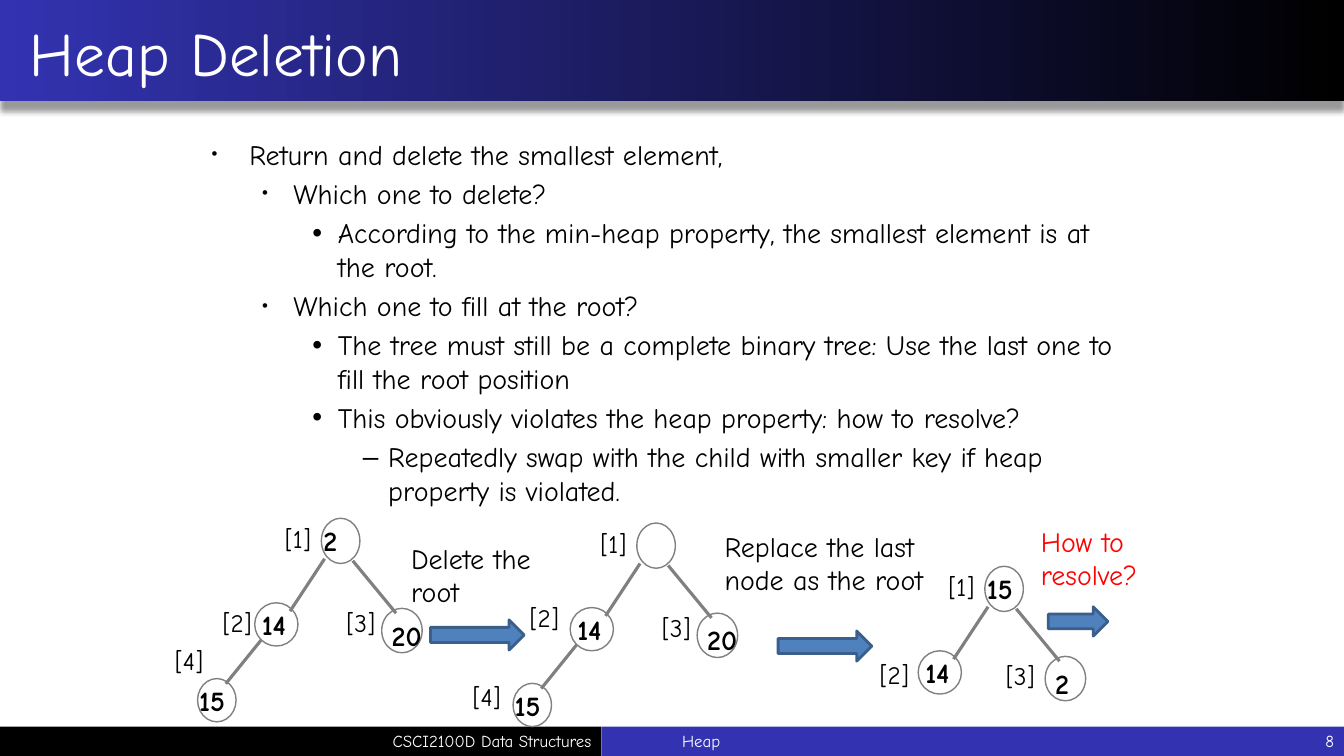
"""Build the heap deletion slide with its three tree stages."""
from lxml import etree
from pptx import Presentation
from pptx.dml.color import RGBColor
from pptx.enum.shapes import MSO_CONNECTOR, MSO_SHAPE
from pptx.enum.text import MSO_ANCHOR, MSO_AUTO_SIZE, PP_ALIGN
from pptx.oxml.ns import qn
from pptx.util import Cm, Pt

BLACK = RGBColor(0x00, 0x00, 0x00)
WHITE = RGBColor(0xFF, 0xFF, 0xFF)
RED = RGBColor(0xFF, 0x00, 0x00)
GRAY = RGBColor(0x80, 0x80, 0x80)
INDIGO = RGBColor(0x33, 0x33, 0xB2)
STEEL = RGBColor(0x4F, 0x81, 0xBD)
STEEL_DARK = RGBColor(0x3A, 0x5F, 0x8C)

RECTANGLE, OVAL, ARROW = MSO_SHAPE.RECTANGLE, MSO_SHAPE.OVAL, MSO_SHAPE.RIGHT_ARROW
STRAIGHT = MSO_CONNECTOR.STRAIGHT
TOP, MIDDLE = MSO_ANCHOR.TOP, MSO_ANCHOR.MIDDLE
LEFT, RIGHT = PP_ALIGN.LEFT, PP_ALIGN.RIGHT
FIXED, GROW = MSO_AUTO_SIZE.NONE, MSO_AUTO_SIZE.SHAPE_TO_FIT_TEXT

WIDTH, HEIGHT = 33.87, 19.05
FOOTER_TOP, FOOTER_HEIGHT, FOOTER_SPLIT = 18.31, 0.74, 15.16

LEVELS = [(0.95, -0.95, "•", 60), (2.06, -0.79, "•", 60),
          (3.18, -0.64, "•", 100), (4.45, -0.64, "–", 100)]
OUTLINE = [
    (0, "Return and delete the smallest element,"),
    (1, "Which one to delete?"),
    (2, "According to the min-heap property, the smallest element is at the root."),
    (1, "Which one to fill at the root?"),
    (2, "The tree must still be a complete binary tree: Use the last one to fill the root position"),
    (2, "This obviously violates the heap property: how to resolve?"),
    (3, "Repeatedly swap with the child with smaller key if heap property is violated."),
]

NODES = [(0, 0, 0.97, 1.14), (-1.68, 2.13, 1.09, 1.09),
         (1.52, 2.27, 1.02, 1.12), (-3.12, 4.04, 0.97, 1.09)]
KEYS = [(-0.2, 0), (-1.75, 2.13), (1.52, 2.39), (-3.33, 4.04)]
EDGES = [(0.08, 1.02, -0.79, 2.34), (0.79, 1.07, 1.88, 2.39), (-1.52, 3.07, -2.41, 4.17)]
TREES = [
    ((8.1, 13.06), ["2", "14", "20", "15"],
     [(-1.17, 0), (-2.74, 2.13), (0.38, 2.13), (-3.94, 3.07)]),
    ((16.05, 13.18), ["", "14", "20", "15"],
     [(-1.17, 0), (-2.95, 1.88), (0.38, 2.13), (-4.39, 3.86)]),
    ((24.82, 14.27), ["15", "14", "2"],
     [(-1.17, 0), (-2.9, 2.21), (0.28, 2.24)]),
]
STEPS = [
    ("Delete the root", BLACK, (10.11, 13.51, 4.62, 1.96), (10.85, 15.62, 2.36, 0.76)),
    ("Replace the last node as the root", BLACK,
     (18.01, 13.21, 5.99, 1.96), (19.61, 15.9, 2.36, 0.76)),
    ("How to resolve?", RED, (25.98, 13.08, 3.28, 1.96), (26.42, 15.29, 1.5, 0.74)),
]


class SlideBuilder:
    """Hold the text style and current slide, and draw its elements."""

    font = "Comic Neue"

    def __init__(self, slide):
        self.slide = slide
        self.canvas = slide.shapes

    def format(self, para, size, color, bold=False):
        for span in para.runs:
            span.font.name = self.font
            span.font.size = Pt(size)
            span.font.color.rgb = color
            span.font.bold = bold

    def place(self, box, bounds):
        box.left, box.top, box.width, box.height = map(Cm, bounds)

    def shape(self, kind, bounds, fill=None, line=None, weight=1):
        shape = self.canvas.add_shape(kind, *map(Cm, bounds))
        shape.shadow.inherit = False
        if fill is None:
            shape.fill.background()
        else:
            shape.fill.solid()
            shape.fill.fore_color.rgb = fill
        if line is None:
            shape.line.fill.background()
        else:
            shape.line.color.rgb = line
            shape.line.width = Pt(weight)
        return shape

    def header(self):
        bar = self.shape(RECTANGLE, (0, -0.03, WIDTH, 2.57), INDIGO)
        bar.fill.gradient()
        bar.fill.gradient_angle = 0
        for stop, color in zip(bar.fill.gradient_stops, (INDIGO, BLACK)):
            stop.color.rgb = color
        effects = bar.element.spPr.find(qn("a:effectLst"))
        shadow = etree.SubElement(effects, qn("a:outerShdw"), blurRad=str(Pt(4)),
                                  dist=str(Pt(7)), dir="5400000", rotWithShape="0")
        tone = etree.SubElement(shadow, qn("a:srgbClr"), val="000000")
        etree.SubElement(tone, qn("a:alpha"), val="40000")
        self.slide.shapes.title.element.addprevious(bar.element)

    def title(self, text):
        box = self.slide.shapes.title
        self.place(box, (0, 0.05, WIDTH, 2.49))
        frame = box.text_frame
        frame.text = text
        frame.auto_size = FIXED
        frame.vertical_anchor = MIDDLE
        para = frame.paragraphs[0]
        para.alignment = LEFT
        para._p.get_or_add_pPr().set("marL", str(Cm(0.5)))
        self.format(para, 44, WHITE)

    def outline(self, items):
        box = self.slide.placeholders[1]
        self.place(box, (5.08, 3.33, 23.29, 13.69))
        frame = box.text_frame
        frame.text = "\n".join(text for _, text in items)
        frame.auto_size = FIXED
        for para, (level, _) in zip(frame.paragraphs, items):
            margin, indent, mark, scale = LEVELS[level]
            para.level = level
            para.space_before = Pt(4)
            props = para._p.get_or_add_pPr()
            props.set("marL", str(Cm(margin)))
            props.set("indent", str(Cm(indent)))
            etree.SubElement(props, qn("a:buSzPct"), val=str(scale * 1000))
            etree.SubElement(props, qn("a:buFont"), typeface="Arial")
            etree.SubElement(props, qn("a:buChar"), char=mark)
            self.format(para, 20, BLACK)

    def text(self, text, bounds, size=20, color=BLACK, bold=False,
             wrap=True, align=LEFT, anchor=TOP, fit=GROW):
        box = self.canvas.add_textbox(*map(Cm, bounds))
        frame = box.text_frame
        frame.text = text
        frame.word_wrap = wrap
        frame.auto_size = fit
        frame.vertical_anchor = anchor
        para = frame.paragraphs[0]
        para.alignment = align
        self.format(para, size, color, bold)

    def footer(self, text, left, width, align=LEFT):
        self.text(text, (left, FOOTER_TOP, width, FOOTER_HEIGHT), 12, WHITE,
                  align=align, anchor=MIDDLE, fit=FIXED)

    def edge(self, start_x, start_y, end_x, end_y):
        line = self.canvas.add_connector(STRAIGHT, *map(Cm, (start_x, start_y, end_x, end_y)))
        line.line.color.rgb = GRAY
        line.line.width = Pt(2.25)
        etree.SubElement(line.element.spPr, qn("a:effectLst"))

    def tree(self, origin, keys, labels):
        x, y = origin
        self.canvas = self.slide.shapes.add_group_shape().shapes
        for key, (left, top, width, height), (key_x, key_y) in zip(keys, NODES, KEYS):
            self.shape(OVAL, (x + left, y + top, width, height), line=GRAY)
            if key:
                key_width = 0.97 if len(key) == 1 else 1.4
                self.text(key, (x + key_x, y + key_y, key_width, 1.12), bold=True, wrap=False)
        for start_x, start_y, end_x, end_y in EDGES[:len(keys) - 1]:
            self.edge(x + start_x, y + start_y, x + end_x, y + end_y)
        for index, (left, top) in enumerate(labels, 1):
            self.text(f"[{index}]", (x + left, y + top, 1.35, 1.02), 18, wrap=False)
        self.canvas = self.slide.shapes

    def step(self, caption, color, caption_bounds, arrow_bounds):
        self.shape(ARROW, arrow_bounds, STEEL, STEEL_DARK, 2)
        self.text(caption, caption_bounds, color=color)


def main():
    deck = Presentation()
    deck.slide_width, deck.slide_height = Cm(WIDTH), Cm(HEIGHT)
    page = SlideBuilder(deck.slides.add_slide(deck.slide_layouts[1]))
    page.header()
    page.title("Heap Deletion")
    page.outline(OUTLINE)
    page.shape(RECTANGLE, (FOOTER_SPLIT, FOOTER_TOP, WIDTH - FOOTER_SPLIT, FOOTER_HEIGHT), INDIGO)
    page.shape(RECTANGLE, (0, FOOTER_TOP, FOOTER_SPLIT, FOOTER_HEIGHT), BLACK)
    page.footer("CSCI2100D Data Structures", 0.05, 15.11, RIGHT)
    page.footer("Heap", 16.94, 12.7)
    page.footer("8", 29.64, 4.23, RIGHT)
    for tree, step in zip(TREES, STEPS):
        page.tree(*tree)
        page.step(*step)
    deck.save("out.pptx")


if __name__ == "__main__":
    main()
